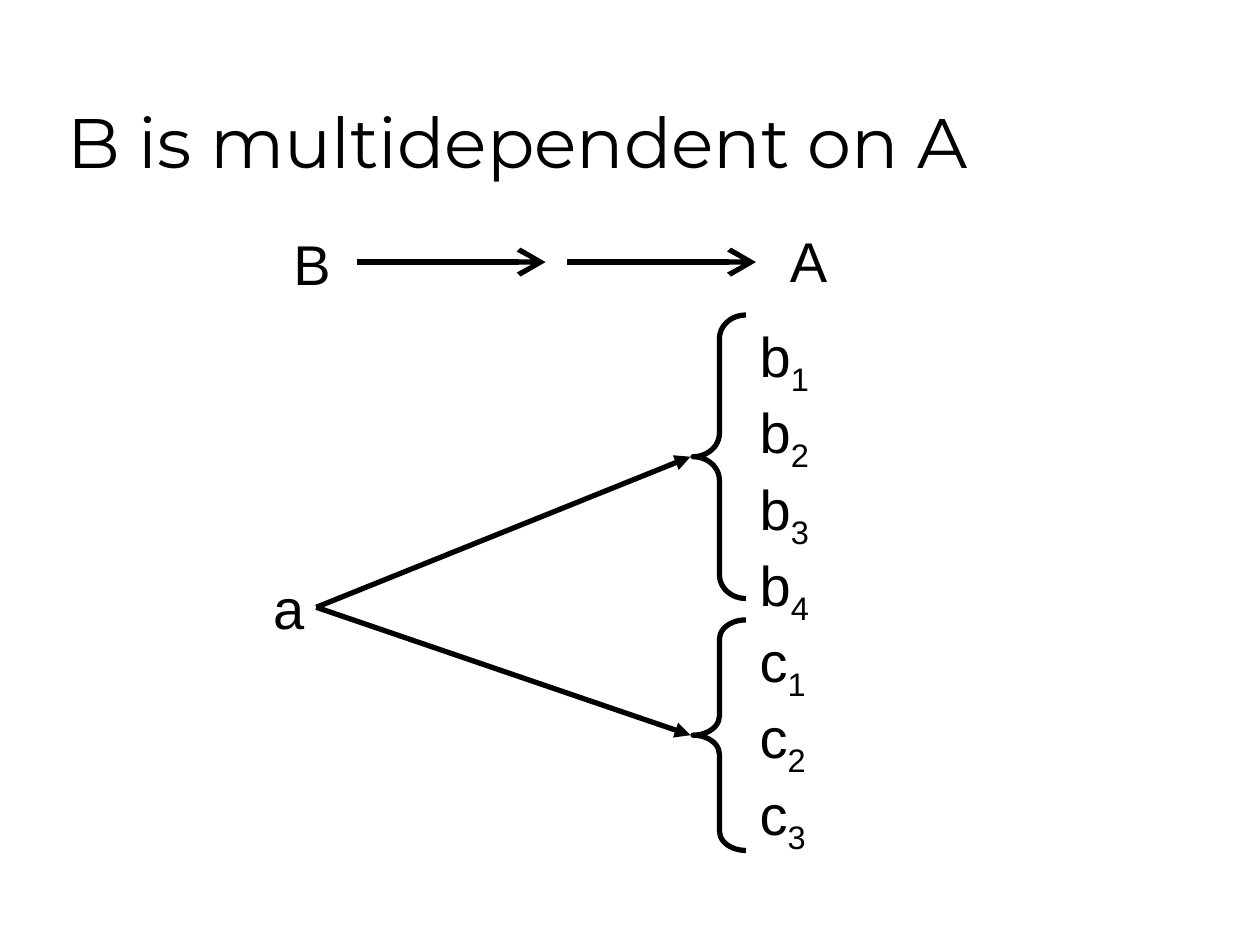
"""Build a slide showing a multivalued dependency between B and A."""
from lxml import etree
from pptx import Presentation
from pptx.dml.color import RGBColor
from pptx.enum.shapes import MSO_CONNECTOR, MSO_SHAPE
from pptx.enum.text import MSO_ANCHOR, MSO_AUTO_SIZE
from pptx.oxml.ns import qn
from pptx.util import Inches, Pt

STRAIGHT = MSO_CONNECTOR.STRAIGHT
LEFT_BRACE = MSO_SHAPE.LEFT_BRACE
BOTTOM = MSO_ANCHOR.BOTTOM
TOP = MSO_ANCHOR.TOP
FIT_SHAPE = MSO_AUTO_SIZE.SHAPE_TO_FIT_TEXT
FIXED = MSO_AUTO_SIZE.NONE
BLACK = "000000"
BRACE_LEFT, BRACE_WIDTH = 5.5, 0.42

prs = Presentation()
prs.slide_width, prs.slide_height = Inches(10), Inches(7.5)
slide = prs.slides.add_slide(prs.slide_layouts[6])


def add_text(lines, left, top, width, height, size=32, font="Arial", anchor=TOP, wrap=False):
    """Write lines of (base, subscript) pairs."""
    frame = slide.shapes.add_textbox(
        Inches(left), Inches(top), Inches(width), Inches(height)
    ).text_frame
    frame.word_wrap = wrap
    frame.auto_size = FIXED if wrap else FIT_SHAPE
    frame.vertical_anchor = anchor
    for index, (base, subscript) in enumerate(lines):
        paragraph = frame.paragraphs[0] if index == 0 else frame.add_paragraph()
        paragraph.font.size = Pt(size)
        paragraph.font.name = font
        paragraph.font.color.rgb = RGBColor.from_string(BLACK)
        paragraph.add_run().text = base
        if subscript:
            lowered = paragraph.add_run()
            lowered.text = subscript
            lowered.font._element.set("baseline", "-25000")


def add_arrow(start, end, head, head_size="med"):
    """Draw a line with an arrowhead at its end."""
    x1, y1, x2, y2 = (Inches(value) for value in (*start, *end))
    arrow = slide.shapes.add_connector(STRAIGHT, x1, y1, x2, y2)
    arrow.line.width = Pt(3)
    arrow.line.color.rgb = RGBColor.from_string(BLACK)
    etree.SubElement(
        arrow.line._get_or_add_ln(), qn("a:tailEnd"), type=head, w=head_size, len=head_size
    )
    etree.SubElement(arrow._element.spPr, qn("a:effectLst"))


add_text([("B is multidependent on A", "")], 0.44, 0.25, 8.5, 1.25,
         size=40, font="Montserrat", anchor=BOTTOM, wrap=True)

for label, left, top, width in (("B", 2.23, 1.77, 0.49), ("A", 6.17, 1.75, 0.49), ("a", 2.07, 4.5, 0.45)):
    add_text([(label, "")], left, top, width, 0.64)

for left in (2.83, 4.5):
    add_arrow((left, 2.08), (left + 1.5, 2.08), "arrow", "lg")

for letter, count, top, brace_height, width, height in (
    ("c", 3, 4.92, 1.83, 0.57, 1.92),
    ("b", 4, 2.5, 2.25, 0.59, 2.53),
):
    values = [(letter, str(number)) for number in range(1, count + 1)]
    add_text(values, 5.93, top, width, height)
    brace = slide.shapes.add_shape(
        LEFT_BRACE, Inches(BRACE_LEFT), Inches(top), Inches(BRACE_WIDTH), Inches(brace_height)
    )
    brace.adjustments[0] = brace_height / 12 / BRACE_WIDTH
    brace.shadow.inherit = False
    brace.fill.background()
    brace.line.width = Pt(3)
    brace.line.color.rgb = RGBColor.from_string(BLACK)
    add_arrow((2.51, 4.82), (5.48, top + brace_height / 2), "triangle")

prs.save("out.pptx")
